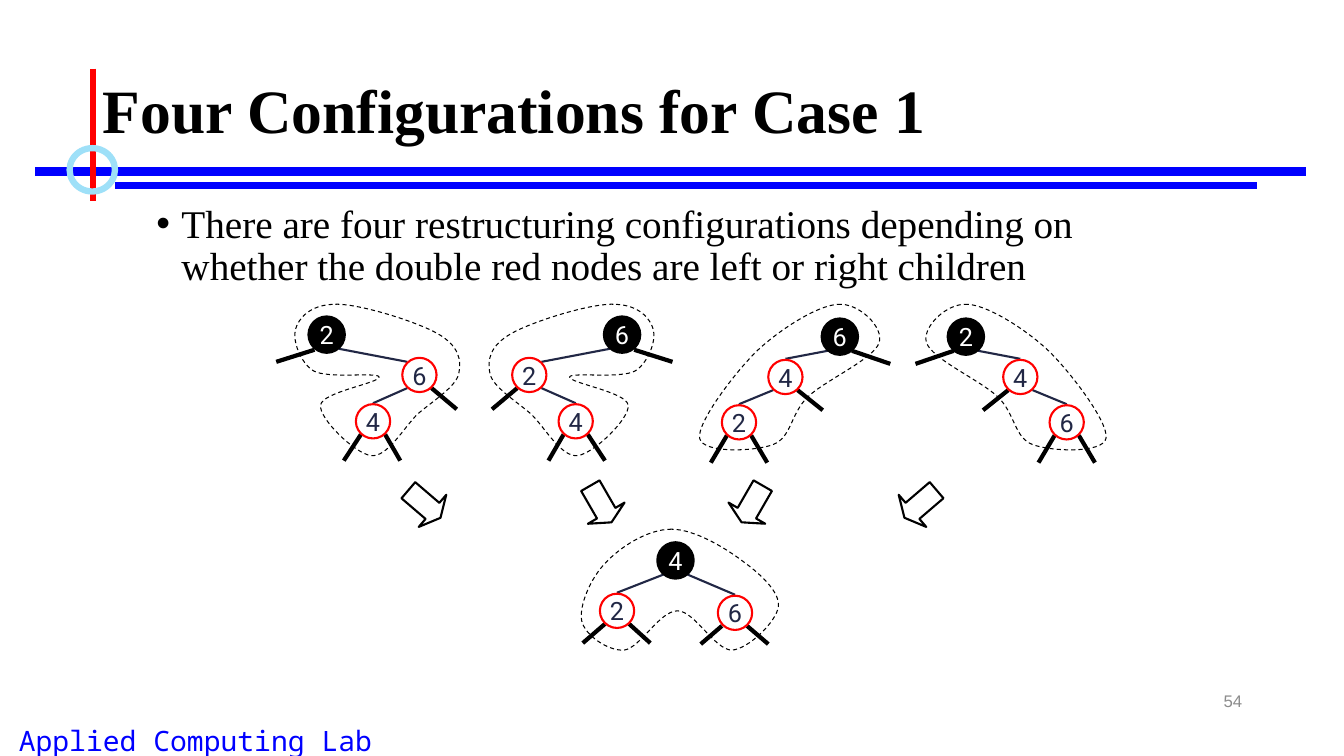
"""Build a slide showing four restructuring configurations of a red-black tree."""
from lxml import etree
from pptx import Presentation
from pptx.dml.color import RGBColor
from pptx.enum.dml import MSO_LINE
from pptx.enum.shapes import MSO_CONNECTOR, MSO_SHAPE
from pptx.enum.text import MSO_ANCHOR, MSO_AUTO_SIZE, PP_ALIGN
from pptx.oxml.ns import qn
from pptx.util import Inches, Pt

BLACK, RED, BLUE, INK, WHITE = "000000", "FF0000", "0000FF", "212745", "FFFFFF"
SERIF = "Times New Roman"


def paint(color_format, hex_color):
    color_format.rgb = RGBColor.from_string(hex_color)


def write(frame, text, size, color, font, bold=False, align=PP_ALIGN.LEFT,
          anchor=MSO_ANCHOR.TOP, wrap=True, spacing=None, before=None):
    frame.auto_size = MSO_AUTO_SIZE.NONE
    frame.word_wrap = wrap
    frame.vertical_anchor = anchor
    paragraph = frame.paragraphs[0]
    paragraph.alignment = align
    if spacing:
        paragraph.line_spacing = spacing
    if before is not None:
        paragraph.space_before = Pt(before)
    run = paragraph.add_run()
    run.text = text
    run.font.size, run.font.name, run.font.bold = Pt(size), font, bold
    paint(run.font.color, color)
    return paragraph


class TreeSlide:
    node_size = 0.34

    def __init__(self, slide):
        self.slide = slide
        self.shapes = slide.shapes

    def placeholder(self, holder, box, text, **style):
        holder.left, holder.top, holder.width, holder.height = map(Inches, box)
        return write(holder.text_frame, text, font=SERIF, color=BLACK, spacing=0.9, **style)

    def label(self, box, text, **style):
        write(self.shapes.add_textbox(*map(Inches, box)).text_frame, text, **style)

    def line(self, x1, y1, x2, y2, color=BLACK, width=3):
        connector = self.shapes.add_connector(
            MSO_CONNECTOR.STRAIGHT, *map(Inches, (x1, y1, x2, y2)))
        paint(connector.line.color, color)
        connector.line.width = Pt(width)
        etree.SubElement(connector._element.spPr, qn("a:effectLst"))

    def outlined(self, shape, color, width):
        shape.shadow.inherit = False
        shape.fill.background()
        paint(shape.line.color, color)
        shape.line.width = Pt(width)
        return shape

    def preset(self, kind, box, color, width):
        return self.outlined(self.shapes.add_shape(kind, *map(Inches, box)), color, width)

    def node(self, x, y, text, is_root):
        half = self.node_size / 2
        circle = self.preset(MSO_SHAPE.OVAL, (x - half, y - half, 2 * half, 2 * half),
                             BLACK if is_root else RED, 3 if is_root else 1.5)
        if is_root:
            circle.fill.solid()
            paint(circle.fill.fore_color, BLACK)
        write(circle.text_frame, text, size=18, color=WHITE if is_root else INK,
              font="Roboto", align=PP_ALIGN.CENTER, anchor=MSO_ANCHOR.MIDDLE, wrap=False)

    def curve(self, points):
        start_point, *controls = [(Inches(x), Inches(y)) for x, y in points]
        builder = self.shapes.build_freeform(*start_point)
        builder.add_line_segments(controls, close=True)
        shape = self.outlined(builder.convert_to_shape(), BLACK, 0.75)
        shape.line.dash_style = MSO_LINE.DASH
        segments = list(shape._element.iter(qn("a:lnTo")))[:len(controls)]
        for start in range(0, len(segments), 3):
            bezier = etree.Element(qn("a:cubicBezTo"))
            segments[start].addprevious(bezier)
            for segment in segments[start:start + 3]:
                bezier.append(segment[0])
                segment.getparent().remove(segment)

    def tree(self, layout, labels, mirror=0):
        def place(x):
            return abs(mirror - x)

        for edges, color, width in ((layout["edges"], INK, 1.5), (layout["stubs"], BLACK, 3)):
            for x1, y1, x2, y2 in edges:
                self.line(place(x1), y1, place(x2), y2, color, width)
        for position, ((x, y), text) in enumerate(zip(layout["nodes"], labels)):
            self.node(place(x), y, text, is_root=position == 0)
        self.curve([(place(x), y) for x, y in layout["outline"]])

    def arrow(self, left, angle):
        arrow = self.preset(MSO_SHAPE.DOWN_ARROW, (left, 4.79, 0.42, 0.42), BLACK, 1.5)
        arrow.adjustments[0], arrow.adjustments[1] = 0.5, 0.25
        arrow.rotation = angle


ZIGZAG = {
    "nodes": [(3.24, 3.32), (4.16, 3.72), (3.7, 4.18)],
    "edges": [(3.36, 3.46, 4.04, 3.59), (4.04, 3.85, 3.7, 4)],
    "stubs": [(3.82, 4.31, 3.97, 4.57), (3.58, 4.31, 3.41, 4.57),
              (4.28, 3.85, 4.53, 4.06), (3.12, 3.47, 2.74, 3.59)],
    "outline": [
        (3.3, 3.02), (3.07, 3.03), (2.96, 3.16), (2.93, 3.27),
        (2.9, 3.38), (2.98, 3.6), (3.11, 3.68), (3.25, 3.76), (3.75, 3.69), (3.76, 3.74),
        (3.77, 3.8), (3.19, 3.89), (3.18, 4.02), (3.16, 4.15), (3.52, 4.5), (3.68, 4.52),
        (3.84, 4.54), (4, 4.25), (4.14, 4.11), (4.29, 3.98), (4.52, 3.84), (4.55, 3.71),
        (4.58, 3.57), (4.55, 3.43), (4.34, 3.31), (4.13, 3.19), (3.53, 3), (3.3, 3.02)],
}
STRAIGHT = {
    "nodes": [(8.33, 3.34), (7.79, 3.74), (7.33, 4.19)],
    "edges": [(8.21, 3.48, 7.79, 3.56), (7.67, 3.87, 7.33, 4.01)],
    "stubs": [(7.45, 4.32, 7.61, 4.59), (7.21, 4.32, 7.05, 4.59),
              (7.91, 3.87, 8.16, 4.07), (8.45, 3.48, 8.83, 3.61)],
    "outline": [
        (8.31, 3.02), (8.52, 3), (8.77, 3.25), (8.72, 3.4),
        (8.67, 3.56), (8.19, 3.77), (8.01, 3.94), (7.84, 4.11), (7.85, 4.34), (7.67, 4.41),
        (7.49, 4.48), (6.97, 4.5), (6.94, 4.35), (6.91, 4.2), (7.27, 3.72), (7.5, 3.49),
        (7.73, 3.27), (8.11, 3.03), (8.31, 3.02)],
}
BALANCED = {
    "nodes": [(6.7, 5.56), (6.12, 6.06), (7.29, 6.08)],
    "edges": [(6.12, 5.88, 6.58, 5.7), (6.82, 5.7, 7.29, 5.9)],
    "stubs": [(7.16, 6.21, 6.95, 6.39), (7.41, 6.21, 7.62, 6.39),
              (6.45, 6.38, 6.24, 6.19), (6, 6.19, 5.78, 6.38)],
    "outline": [
        (6.66, 5.25), (6.42, 5.25), (6.15, 5.43), (6.01, 5.58),
        (5.86, 5.73), (5.74, 6.01), (5.77, 6.16), (5.8, 6.3), (6.03, 6.46), (6.19, 6.45),
        (6.35, 6.43), (6.54, 6.06), (6.72, 6.06), (6.89, 6.06), (7.09, 6.45), (7.26, 6.45),
        (7.42, 6.44), (7.7, 6.17), (7.72, 6.02), (7.74, 5.88), (7.55, 5.7), (7.37, 5.57),
        (7.2, 5.44), (6.89, 5.25), (6.66, 5.25)],
}


def main():
    deck = Presentation()
    deck.slide_width, deck.slide_height = Inches(13.33), Inches(7.5)
    page = TreeSlide(deck.slides.add_slide(deck.slide_layouts[1]))

    page.label((-0.58, 7.13, 5.04, 0.43), "Applied Computing Lab", size=20, color=BLUE,
               font="Noto Sans Mono", align=PP_ALIGN.CENTER)
    page.line(0.35, 1.7, 12.95, 1.7, BLUE, 6)
    page.line(1.14, 1.84, 12.47, 1.84, BLUE, 4.5)
    page.line(0.92, 0.68, 0.92, 1.99, RED, 4.5)
    page.preset(MSO_SHAPE.OVAL, (0.69, 1.47, 0.45, 0.43), "9EE0F8", 4.5)
    page.label((9.42, 6.75, 3, 0.4), "54", size=12, color="8C8C8C", font="Arial",
               align=PP_ALIGN.RIGHT, anchor=MSO_ANCHOR.MIDDLE)

    title, body = page.slide.placeholders
    page.placeholder(title, (0.92, 0.4, 11.5, 1.45), "Four Configurations for Case 1",
                     size=44, bold=True, anchor=MSO_ANCHOR.MIDDLE)
    summary = page.placeholder(
        body, (1.45, 1.98, 9.63, 0.92),
        "There are four restructuring configurations depending on "
        "whether the double red nodes are left or right children", size=28, before=10)
    bullet_format = summary._p.get_or_add_pPr()
    bullet_format.set("marL", str(Inches(0.25)))
    bullet_format.set("indent", str(Inches(-0.25)))
    etree.SubElement(bullet_format, qn("a:buFont")).set("typeface", "Arial")
    etree.SubElement(bullet_format, qn("a:buChar")).set("char", "•")

    page.tree(ZIGZAG, "264")
    page.tree(STRAIGHT, "642")
    page.tree(ZIGZAG, "624", mirror=9.41)
    page.tree(STRAIGHT, "246", mirror=17.91)
    page.tree(BALANCED, "426")
    for left, angle in ((4, 310.6), (5.75, 330), (7.25, 30), (8.92, 49.4)):
        page.arrow(left, angle)
    deck.save("out.pptx")


if __name__ == "__main__":
    main()
